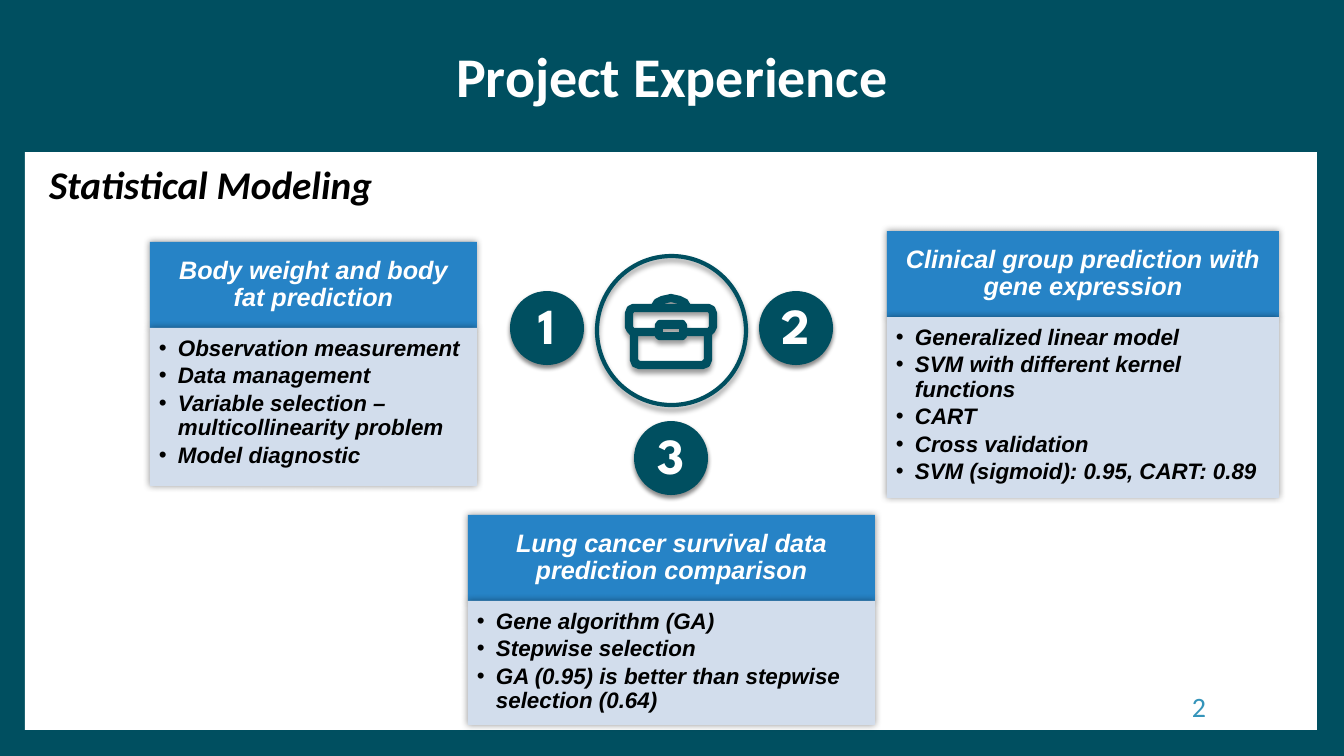
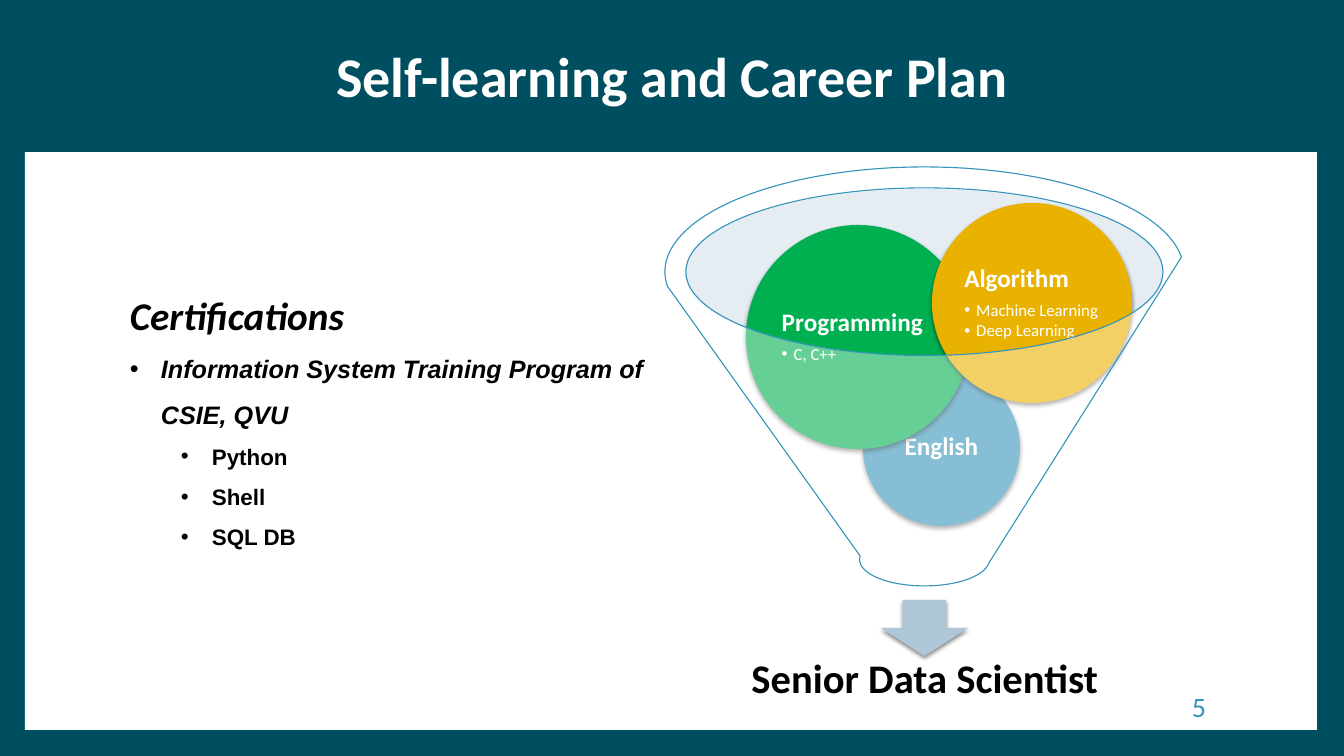
import lxml.etree
import pptx
import pptx.dml.color
import pptx.enum.shapes
import pptx.enum.text
import pptx.oxml.ns
import pptx.util

RGB = pptx.dml.color.RGBColor
SHAPE = pptx.enum.shapes.MSO_SHAPE
ALIGN = pptx.enum.text.PP_ALIGN
ANCHOR = pptx.enum.text.MSO_ANCHOR
Pt = pptx.util.Pt
qn = pptx.oxml.ns.qn

SCALE = 914400 / 100.8
SLIDE_WIDTH, SLIDE_HEIGHT = 1344, 756

TEAL = RGB(0x00, 0x4F, 0x60)
WHITE = RGB(0xFF, 0xFF, 0xFF)
BLACK = RGB(0x00, 0x00, 0x00)
HEADER_BLUE = RGB(0x26, 0x83, 0xC6)
CARD_BLUE = RGB(0xD2, 0xDD, 0xEC)
ACCENT = RGB(0x34, 0x94, 0xBA)
MOUTH_BLUE = RGB(0xBF, 0xD2, 0xE0)
ARROW_BLUE = RGB(0xAE, 0xC8, 0xD9)
GREEN = RGB(0x00, 0xB0, 0x50)
GOLD = RGB(0xEA, 0xB2, 0x00)

# Shadows: opacity %, blur pt, distance pt, direction in degrees
CARD_SHADOW = (40, 5, 0, 0)
ICON_SHADOW = (40, 4, 3, 90)
BALL_SHADOW = (45, 3, 2, 90)


def style(name, size, color, bold=True, italic=False, bullet=None, **para):
    """Bundle font and paragraph formats; bullet is (text indent, hang) in px."""
    font = {"name": name, "size": Pt(size), "bold": bold, "italic": italic}
    return {"font": font, "color": color, "bullet": bullet, "para": para}


TITLE = style("Calibri", 40, WHITE, alignment=ALIGN.CENTER, line_spacing=0.9)
SUBTITLE = style("Calibri", 28, BLACK, italic=True)
PAGE_NUMBER = style("Calibri", 20, ACCENT, bold=False, alignment=ALIGN.RIGHT)
CARD_HEADER = style("Arial", 18, WHITE, italic=True, alignment=ALIGN.CENTER,
                    line_spacing=0.9)
CARD_ITEM = style("Arial", 16, BLACK, italic=True, bullet=(19, 19), level=1,
                  alignment=ALIGN.LEFT, line_spacing=0.9, space_after=Pt(2.4))
BADGE = style("League Spartan", 36, WHITE, alignment=ALIGN.CENTER,
              line_spacing=0.9)
BALL_CENTERED = style("Calibri", 18, WHITE, alignment=ALIGN.CENTER,
                      line_spacing=0.9)
BALL_HEADER = style("Calibri", 18, WHITE, alignment=ALIGN.LEFT,
                    line_spacing=0.9, space_after=Pt(6.3))
BALL_ITEM = style("Calibri", 12, WHITE, bold=False, bullet=(12, 12), level=1,
                  alignment=ALIGN.LEFT, line_spacing=0.9, space_after=Pt(1.8))
GOAL = style("Calibri", 29, BLACK, alignment=ALIGN.CENTER, line_spacing=0.9)
CERTIFICATE_HEADER = style("Calibri", 28, BLACK, italic=True, line_spacing=1.5)
CERTIFICATE = style("Arial", 18, BLACK, italic=True, bullet=(31, 31),
                    line_spacing=1.5)
SKILL = style("Arial", 16, BLACK, bullet=(82, 31), level=1, line_spacing=1.5)

CARDS = [
    (150, 242, 327, 158, "Body weight and body fat prediction",
     ["Observation measurement", "Data management",
      "Variable selection – multicollinearity problem", "Model diagnostic"]),
    (468, 515, 407, 124, "Lung cancer survival data prediction comparison",
     ["Gene algorithm (GA)", "Stepwise selection",
      "GA (0.95) is better than stepwise selection (0.64)"]),
    (887, 231, 392, 181, "Clinical group prediction with gene expression",
     ["Generalized linear model", "SVM with different kernel functions",
      "CART", "Cross validation", "SVM (sigmoid): 0.95, CART: 0.89"]),
]
CARD_HEADER_HEIGHT = 86
BADGES = [("1", 510, 291), ("3", 634, 421), ("2", 759, 291)]

# Right halves of the briefcase outlines: (distance from the axis, y)
BRIEFCASE_AXIS = 671
BRIEFCASE_HALVES = [
    [(0, 296), (9, 298), (15, 301), (18, 306), (38, 306), (42, 308), (44, 313),
     (44, 327), (42, 331), (39, 334), (39, 360), (37, 365), (32, 367)],
    [(38, 310), (40, 313), (40, 327), (38, 330), (14, 330), (14, 325), (12, 322)],
    [(12, 338), (14, 336), (14, 334), (35, 334), (35, 360), (32, 363)],
    [(10, 327), (10, 334)],
    [(0, 300), (9, 302), (13, 305), (14, 306)],
]

BALLS = [
    (863, 369, 157, ACCENT, [("English", BALL_CENTERED)]),
    (746, 225, 224, GREEN, [("Programming", BALL_HEADER), ("C, C++", BALL_ITEM)]),
    (932, 203, 200, GOLD, [("Algorithm", BALL_HEADER),
                           ("Machine Learning", BALL_ITEM),
                           ("Deep Learning", BALL_ITEM)]),
]
CERTIFICATE_LINES = [
    ("Certifications", CERTIFICATE_HEADER),
    ("Information System Training Program of CSIE, QVU", CERTIFICATE),
    ("Python", SKILL), ("Shell", SKILL), ("SQL DB", SKILL),
]


def px(length):
    return pptx.util.Emu(round(length * SCALE))


def add_bullet(para, indent, hang):
    properties = para._p.get_or_add_pPr()
    properties.set("marL", str(px(indent)))
    properties.set("indent", str(-px(hang)))
    lxml.etree.SubElement(properties, qn("a:buFont"), typeface="Arial")
    lxml.etree.SubElement(properties, qn("a:buChar"), char="•")


def write_lines(shape, lines, insets=(10, 5, 10, 5), anchor=ANCHOR.MIDDLE, wrap=True):
    """Fill the shape with (text, style) lines; insets are left, top, right, bottom."""
    frame = shape.text_frame
    frame.word_wrap = wrap
    frame.vertical_anchor = anchor
    for side, inset in zip(("left", "top", "right", "bottom"), insets):
        setattr(frame, f"margin_{side}", px(inset))
    for index, (text, look) in enumerate(lines):
        para = frame.add_paragraph() if index else frame.paragraphs[0]
        span = para.add_run()
        span.text = text
        for name, value in look["para"].items():
            setattr(para, name, value)
        for name, value in look["font"].items():
            setattr(span.font, name, value)
        span.font.color.rgb = look["color"]
        if look["bullet"]:
            add_bullet(para, *look["bullet"])


def add_text(page, at, lines, **options):
    box = page.shapes.add_textbox(*map(px, at))
    write_lines(box, lines, **options)


def paint(shape, fill=None, opacity=100, line=None, line_width=1, shadow=None):
    """Replace the default look of a new shape."""
    properties = shape._element.spPr
    if fill is None:
        shape.fill.background()
    else:
        shape.fill.solid()
        shape.fill.fore_color.rgb = fill
    if opacity < 100:
        color = properties.find(f"{qn('a:solidFill')}/{qn('a:srgbClr')}")
        lxml.etree.SubElement(color, qn("a:alpha"), val=str(opacity * 1000))
    if line is None:
        shape.line.fill.background()
    else:
        shape.line.color.rgb = line
        shape.line.width = Pt(line_width)
    shape.shadow.inherit = False
    if shadow:
        strength, blur, distance, degrees = shadow
        outer = lxml.etree.SubElement(
            properties.find(qn("a:effectLst")), qn("a:outerShdw"),
            blurRad=str(Pt(blur)), dist=str(Pt(distance)),
            dir=str(degrees * 60000), algn="ctr", rotWithShape="0")
        color = lxml.etree.SubElement(outer, qn("a:srgbClr"), val=str(BLACK))
        lxml.etree.SubElement(color, qn("a:alpha"), val=str(strength * 1000))


def add_shape(page, kind, at, **look):
    shape = page.shapes.add_shape(kind, *map(px, at))
    paint(shape, **look)
    return shape


def add_page(deck, title, title_width, number):
    page = deck.slides.add_slide(deck.slide_layouts[6])
    add_shape(page, SHAPE.RECTANGLE, (25, 27, 1292, 703), fill=WHITE)
    add_shape(page, SHAPE.RECTANGLE, (0, 24, 1333, 128), fill=TEAL)
    title_left = (SLIDE_WIDTH - title_width) // 2
    add_text(page, (title_left, 44, title_width, 72), [(title, TITLE)],
             anchor=ANCHOR.TOP, wrap=False)
    add_text(page, (1028, 686, 188, 40), [(number, PAGE_NUMBER)])
    return page


def add_card(page, left, top, width, body_height, header, items):
    head = add_shape(page, SHAPE.RECTANGLE, (left, top, width, CARD_HEADER_HEIGHT),
                     fill=HEADER_BLUE, shadow=CARD_SHADOW)
    write_lines(head, [(header, CARD_HEADER)], insets=(12, 7, 12, 7))
    body = add_shape(page, SHAPE.RECTANGLE,
                     (left, top + CARD_HEADER_HEIGHT, width, body_height),
                     fill=CARD_BLUE, shadow=CARD_SHADOW)
    write_lines(body, [(item, CARD_ITEM) for item in items],
                insets=(9, 9, 12, 14), anchor=ANCHOR.TOP)


def add_briefcase(page):
    """Draw the outlines, each half mirrored about the vertical axis."""
    builder = None
    for half in BRIEFCASE_HALVES:
        outline = [(BRIEFCASE_AXIS + x, y) for x, y in half]
        outline += [(BRIEFCASE_AXIS - x, y) for x, y in reversed(half)]
        if builder is None:
            builder = page.shapes.build_freeform(*outline[0], scale=SCALE)
        else:
            builder.move_to(*outline[0])
        builder.add_line_segments(outline[1:], close=True)
    paint(builder.convert_to_shape(), fill=TEAL, line=TEAL, line_width=3,
          shadow=ICON_SHADOW)


def add_badge(page, number, left, top):
    badge = add_shape(page, SHAPE.OVAL, (left, top, 74, 74), fill=TEAL,
                      shadow=BALL_SHADOW)
    write_lines(badge, [(number, BADGE)], insets=(0, 5, 0, 5))


def add_funnel(page):
    add_shape(page, SHAPE.OVAL, (685, 189, 479, 167), fill=MOUTH_BLUE, opacity=40)
    add_shape(page, SHAPE.DOWN_ARROW, (881, 600, 87, 56), fill=ARROW_BLUE,
              shadow=BALL_SHADOW)
    add_text(page, (716, 628, 418, 105), [("Senior Data Scientist", GOAL)],
             insets=(23, 23, 23, 23))
    for left, top, size, color, lines in BALLS:
        ball = add_shape(page, SHAPE.OVAL, (left, top, size, size), fill=color,
                         shadow=BALL_SHADOW)
        write_lines(ball, lines, insets=(3, 3, 3, 3))
    add_shape(page, SHAPE.FUNNEL, (665, 167, 519, 419), fill=WHITE, opacity=40,
              line=ACCENT, line_width=0.79)


def build_projects(deck):
    page = add_page(deck, "Project Experience", 456, "2")
    for card in CARDS:
        add_card(page, *card)
    add_shape(page, SHAPE.OVAL, (597, 256, 149, 149), line=TEAL, line_width=3,
              shadow=ICON_SHADOW)
    add_briefcase(page)
    for badge in BADGES:
        add_badge(page, *badge)
    add_text(page, (39, 155, 348, 57), [("Statistical Modeling", SUBTITLE)],
             anchor=ANCHOR.TOP, wrap=False)


def build_career_plan(deck):
    page = add_page(deck, "Self-learning and Career Plan", 700, "5")
    add_funnel(page)
    add_text(page, (120, 263, 541, 295), CERTIFICATE_LINES, anchor=ANCHOR.TOP)


def main():
    deck = pptx.Presentation()
    deck.slide_width, deck.slide_height = px(SLIDE_WIDTH), px(SLIDE_HEIGHT)
    backdrop = deck.slide_master.background.fill
    backdrop.solid()
    backdrop.fore_color.rgb = TEAL
    build_projects(deck)
    build_career_plan(deck)
    deck.save("out.pptx")


if __name__ == "__main__":
    main()
